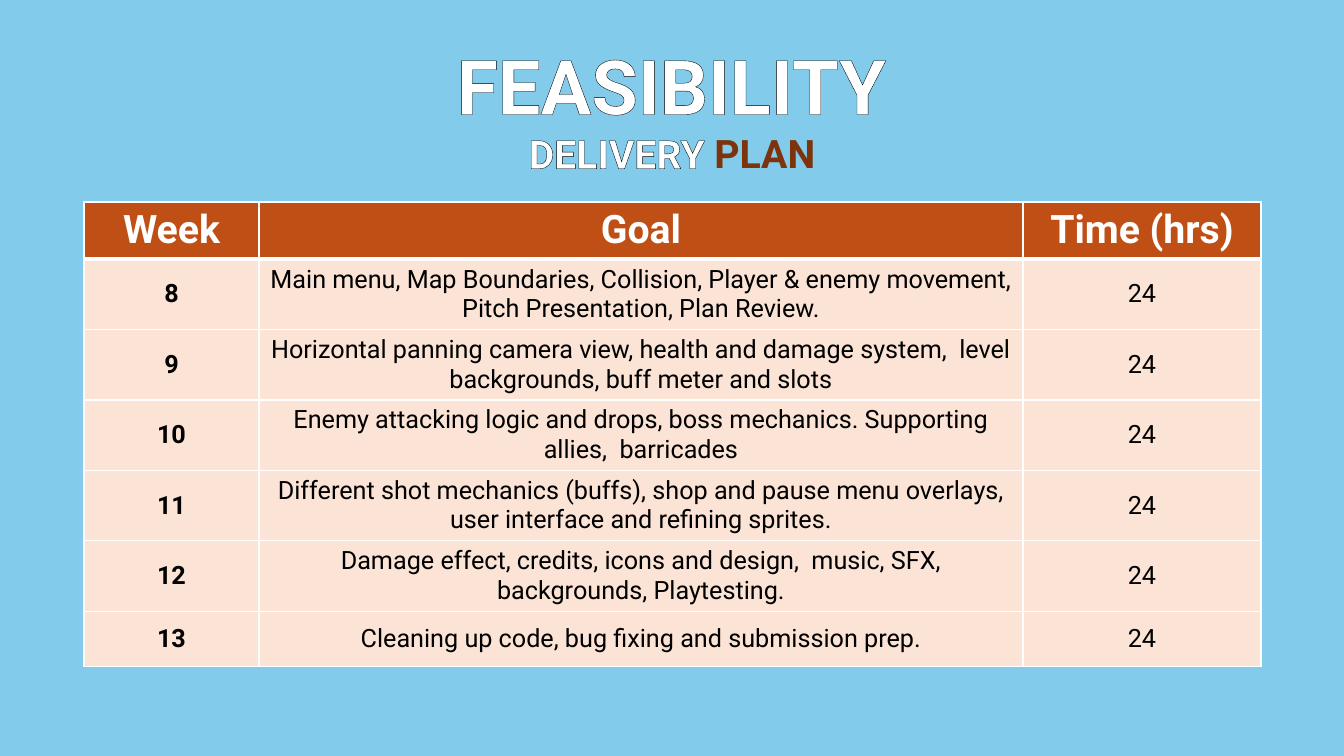
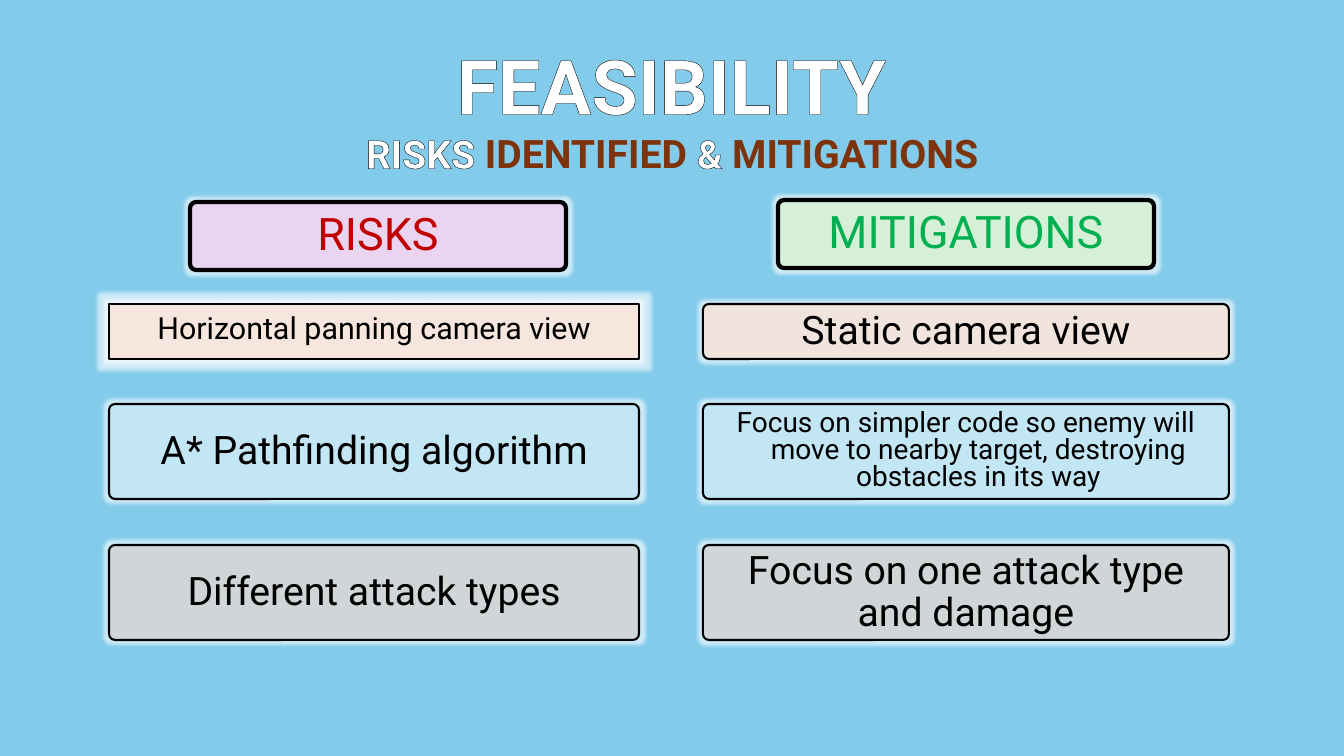
import dataclasses
import typing

import lxml.etree
import pptx
import pptx.dml.color
import pptx.enum.shapes
import pptx.enum.text
import pptx.oxml.ns
import pptx.util

SLIDE_WIDTH, SLIDE_HEIGHT = 1344, 756
EMU_PER_PX = 12192000 / SLIDE_WIDTH
FONT = "Roboto"
COLOURS = {
    "sky": "83CBEB",
    "white": "FFFFFF",
    "black": "000000",
    "brown": "7D340D",
    "header": "C04F15",
    "peach": "FBE3D6",
    "blue": "C1E5F5",
    "grey": "D1D1D1",
    "pink": "F2CFEE",
    "mint": "D9F2D0",
    "red": "C00000",
    "green": "00B050",
}
SHAPES = pptx.enum.shapes.MSO_SHAPE
CARD_RADIUS = 6
CELL_MARGIN = 5
HANGING_INDENT = 25


class Box(typing.NamedTuple):
    left: int
    top: int
    width: int
    height: int


@dataclasses.dataclass(frozen=True)
class Words:
    text: str
    size: float
    colour: str = "black"
    bold: bool = False
    outline: float = 0


@dataclasses.dataclass(frozen=True)
class Card:
    box: Box
    fill: str
    words: Words
    border: float = 1.5
    spacing: float = 0.9
    hanging: bool = False
    outline_shape: SHAPES = SHAPES.ROUNDED_RECTANGLE


class Goal(typing.NamedTuple):
    week: str
    text: str
    hours: str = "24"


TITLE_BOX = Box(38, 38, 1267, 104)
SUBTITLE_BOX = Box(261, 130, 822, 52)
TITLE = Words("FEASIBILITY", 54, "white", True, 3)

PLAN_BOX = Box(84, 202, 1177, 456)
PLAN_COLUMNS = (175, 764, 238)
PLAN_ROWS = (56, 69, 69, 69, 69, 69, 55)
PLAN_HEADINGS = ("Week", "Goal", "Time (hrs)")
GOALS = (
    Goal("8", "Main menu, Map Boundaries, Collision, Player & enemy movement, "
              "Pitch Presentation, Plan Review."),
    Goal("9", "Horizontal panning camera view, health and damage system,  level "
              "backgrounds, buff meter and slots"),
    Goal("10", "Enemy attacking logic and drops, boss mechanics. Supporting "
               "allies,  barricades"),
    Goal("11", "Different shot mechanics (buffs), shop and pause menu overlays, "
               "user interface and refining sprites."),
    Goal("12", "Damage effect, credits, icons and design,  music, SFX, "
               "backgrounds, Playtesting."),
    Goal("13", "Cleaning up code, bug fixing and submission prep."),
)

CAMERA_ROW, PATH_ROW, ATTACK_ROW = (304, 55), (404, 95), (545, 95)
RISK_COLUMN, MITIGATION_COLUMN = (109, 530), (703, 526)


def grid_box(column: tuple[int, int], row: tuple[int, int]) -> Box:
    return Box(column[0], row[0], column[1], row[1])


CARDS = (
    Card(Box(190, 202, 376, 68), "pink", Words("RISKS", 32, "red"), border=3),
    Card(Box(778, 200, 376, 68), "mint", Words("MITIGATIONS", 32, "green"), border=3),
    Card(grid_box(RISK_COLUMN, CAMERA_ROW), "peach",
         Words("Horizontal panning camera view", 21.7),
         spacing=0.7, outline_shape=SHAPES.RECTANGLE),
    Card(grid_box(RISK_COLUMN, PATH_ROW), "blue", Words("A* Pathfinding algorithm", 28)),
    Card(grid_box(RISK_COLUMN, ATTACK_ROW), "grey", Words("Different attack types", 28)),
    Card(grid_box(MITIGATION_COLUMN, CAMERA_ROW), "peach", Words("Static camera view", 28)),
    Card(grid_box(MITIGATION_COLUMN, PATH_ROW), "blue",
         Words("Focus on simpler code so enemy will move to nearby target, "
               "destroying obstacles in its way", 20),
         spacing=0.8, hanging=True),
    Card(grid_box(MITIGATION_COLUMN, ATTACK_ROW), "grey",
         Words("Focus on one attack type and damage", 28)),
)


def px(length: int) -> pptx.util.Emu:
    return pptx.util.Emu(round(length * EMU_PER_PX))


def place(box: Box) -> tuple[pptx.util.Emu, ...]:
    return tuple(px(length) for length in box)


def rgb(colour: str) -> pptx.dml.color.RGBColor:
    return pptx.dml.color.RGBColor.from_string(COLOURS[colour])


def add_element(parent, tag: str, **attributes: str):
    return lxml.etree.SubElement(parent, pptx.oxml.ns.qn(tag), attributes)


def insert_line(parent, position: int, tag: str, width: float, colour: str) -> None:
    line = add_element(parent, tag, w=str(pptx.util.Pt(width)))
    add_element(add_element(line, "a:solidFill"), "a:srgbClr", val=COLOURS[colour])
    parent.insert(position, line)


def write(frame, runs: typing.Sequence[Words], spacing: float | None = None) -> None:
    frame.word_wrap = True
    frame.vertical_anchor = pptx.enum.text.MSO_ANCHOR.MIDDLE
    paragraph = frame.paragraphs[0]
    paragraph.alignment = pptx.enum.text.PP_ALIGN.CENTER
    if spacing:
        paragraph.line_spacing = spacing
    for words in runs:
        run = paragraph.add_run()
        run.text = words.text
        run.font.name = FONT
        run.font.size = pptx.util.Pt(words.size)
        run.font.bold = words.bold
        run.font.color.rgb = rgb(words.colour)
        if words.outline:
            insert_line(run.font._element, 0, "a:ln", words.outline, "black")


def subtitle_words(text: str, colour: str) -> Words:
    return Words(text, 28, colour, True, 1.5 if colour == "white" else 0)


def add_titled_slide(deck, subtitle: typing.Sequence[Words]):
    slide = deck.slides.add_slide(deck.slide_layouts.get_by_name("Title Only"))
    title = slide.shapes.title
    title.left, title.top, title.width, title.height = place(TITLE_BOX)
    title.text_frame.auto_size = pptx.enum.text.MSO_AUTO_SIZE.NONE
    write(title.text_frame, [TITLE], 0.9)
    subtitle_box = slide.shapes.add_textbox(*place(SUBTITLE_BOX))
    write(subtitle_box.text_frame, subtitle, 0.9)
    return slide


def fill_cell(cell, words: Words, fill: str, bottom: float) -> None:
    cell.margin_left = cell.margin_right = px(CELL_MARGIN)
    cell.margin_top = cell.margin_bottom = px(CELL_MARGIN)
    write(cell.text_frame, [words])
    cell.vertical_anchor = pptx.enum.text.MSO_ANCHOR.MIDDLE
    cell.fill.solid()
    cell.fill.fore_color.rgb = rgb(fill)
    borders = (("a:lnL", 1), ("a:lnR", 1), ("a:lnT", 1), ("a:lnB", bottom))
    for position, (tag, width) in enumerate(borders):
        insert_line(cell._tc.get_or_add_tcPr(), position, tag, width, "white")


def add_plan(slide) -> None:
    plan = slide.shapes.add_table(
        len(PLAN_ROWS), len(PLAN_COLUMNS), *place(PLAN_BOX)).table
    plan.horz_banding = False
    for column, width in zip(plan.columns, PLAN_COLUMNS):
        column.width = px(width)
    for row, height in zip(plan.rows, PLAN_ROWS):
        row.height = px(height)
    for column, heading in enumerate(PLAN_HEADINGS):
        fill_cell(plan.cell(0, column), Words(heading, 28, "white", True), "header", 3)
    for row, goal in enumerate(GOALS, 1):
        for column, text in enumerate(goal):
            fill_cell(plan.cell(row, column),
                      Words(text, 18, bold=column == 0), "peach", 1)


def add_card(slide, card: Card) -> None:
    panel = slide.shapes.add_shape(card.outline_shape, *place(card.box))
    if card.outline_shape == SHAPES.ROUNDED_RECTANGLE:
        panel.adjustments[0] = CARD_RADIUS / card.box.height
    panel.fill.solid()
    panel.fill.fore_color.rgb = rgb(card.fill)
    properties = panel._element.spPr
    tint = properties.find(".//" + pptx.oxml.ns.qn("a:srgbClr"))
    add_element(tint, "a:alpha", val="80000")
    panel.line.color.rgb = rgb("black")
    panel.line.width = pptx.util.Pt(card.border)
    panel.shadow.inherit = False
    effects = properties.find(pptx.oxml.ns.qn("a:effectLst"))
    glow = add_element(effects, "a:glow", rad=str(pptx.util.Pt(5)))
    halo = add_element(glow, "a:srgbClr", val=COLOURS["white"])
    add_element(halo, "a:alpha", val="60000")
    write(panel.text_frame, [card.words], card.spacing)
    if card.hanging:
        indent = px(HANGING_INDENT)
        paragraph = panel.text_frame.paragraphs[0]._p.get_or_add_pPr()
        paragraph.set("marL", str(indent))
        paragraph.set("indent", str(-indent))


def main() -> None:
    deck = pptx.Presentation()
    deck.slide_width, deck.slide_height = px(SLIDE_WIDTH), px(SLIDE_HEIGHT)
    backdrop = deck.slide_master.background.fill
    backdrop.solid()
    backdrop.fore_color.rgb = rgb("sky")

    add_plan(add_titled_slide(deck, [
        subtitle_words("DELIVERY ", "white"),
        subtitle_words("PLAN", "brown"),
    ]))

    risks = add_titled_slide(deck, [
        subtitle_words("RISKS ", "white"),
        subtitle_words("IDENTIFIED", "brown"),
        subtitle_words(" & ", "white"),
        subtitle_words("MITIGATIONS", "brown"),
    ])
    for card in CARDS:
        add_card(risks, card)

    deck.save("out.pptx")


if __name__ == "__main__":
    main()
